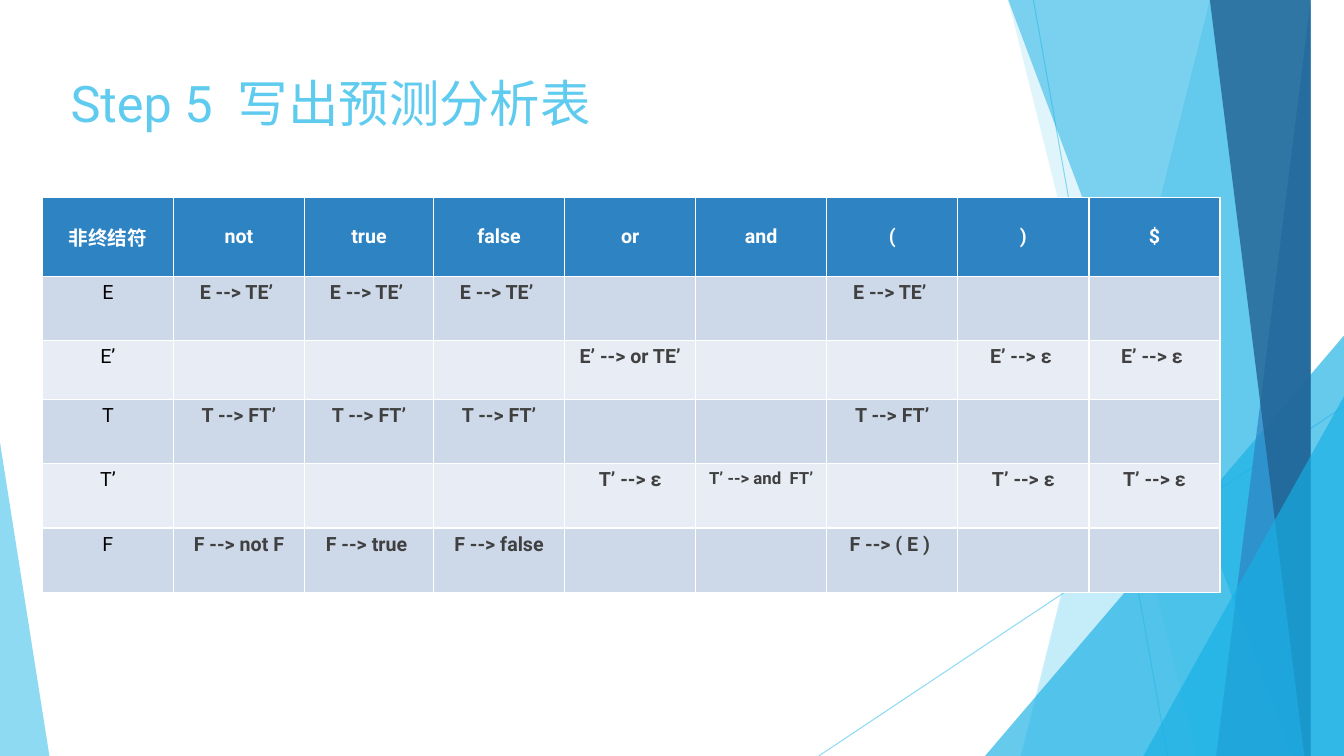
from lxml import etree
from pptx import Presentation
from pptx.dml.color import RGBColor
from pptx.enum import shapes, text
from pptx.oxml.ns import qn
from pptx.util import Inches, Pt

FONT = "Roboto"
SKY, CYAN, BLUE, NAVY = "5FCBEF", "17B0E4", "2E83C3", "226292"
TITLE = "Step 5  写出预测分析表"
HEAD = ["非终结符", "not", "true", "false", "or", "and", "(", ")", "$"]
RULES = [
    ("E", {"not": "E --> TE’ ", "true": "E --> TE’ ", "false": "E --> TE’ ", "(": "E --> TE’ "}),
    ("E’", {"or": "E’ --> or TE’", ")": "E’ --> ε ", "$": "E’ --> ε "}),
    ("T", {"not": "T --> FT’", "true": "T --> FT’", "false": "T --> FT’", "(": "T --> FT’"}),
    ("T’", {"or": "T’ --> ε", "and": "T’ --> and  FT’", ")": "T’ --> ε", "$": "T’ --> ε"}),
    ("F", {"not": "F --> not F", "true": "F --> true ", "false": "F --> false", "(": "F --> ( E ) "}),
]
WIDTHS = [1.3, 1.3, 1.28] + [1.3] * 6
HEIGHTS = [0.78, 0.64, 0.58, 0.64, 0.64, 0.64]
BANDS = ["CDD9E9", "E8EDF5"]
RAYS = [(10.25, 0, 11.58, 7.5), (13.33, 4.03, 8.12, 7.5)]
DECOR = [
    ("band", (12.28, 10.04), SKY, 36),
    ("band", (10.5, 11.83), SKY, 20),
    ("tri", (9.77, 3.33, 3.56, 4.17, 1), CYAN, 66),
    ("band", (10.21, 12.91), CYAN, 50),
    ("band", (13.03, 11.92), BLUE, 70),
    ("band", (11.96, 13.18), NAVY, 80),
    ("tri", (11.34, 3.93, 1.99, 3.57, 1), CYAN, 66),
    ("tri", (0, 4.39, 0.49, 3.11, 0), SKY, 70),
]


def rgb(code):
    return RGBColor.from_string(code)


def fade(shape, share):
    tone = shape._element.spPr.find(".//" + qn("a:srgbClr"))
    etree.SubElement(tone, qn("a:alpha")).set("val", str(share * 1000))


def style(para, size, color, bold, align):
    para.alignment = align
    font = para.font
    font.name, font.size, font.bold = FONT, Pt(size), bold
    font.color.rgb = rgb(color)


def draw_ray(slide, ends):
    ray = slide.shapes.add_connector(shapes.MSO_CONNECTOR.STRAIGHT, *map(Inches, ends))
    ray.line.width = Pt(0.75)
    ray.line.color.rgb = rgb(SKY)
    fade(ray, 70)
    etree.SubElement(ray._element.spPr, qn("a:effectLst"))


def draw_decor(slide, kind, place, color, share):
    if kind == "band":
        top, base = place
        pen = slide.shapes.build_freeform(top, -0.01, Inches(1))
        pen.add_line_segments([(13.33, -0.01), (13.33, 7.5), (base, 7.5)])
        shape = pen.convert_to_shape()
    else:
        *box, tip = place
        shape = slide.shapes.add_shape(shapes.MSO_SHAPE.ISOSCELES_TRIANGLE, *map(Inches, box))
        shape.adjustments[0] = tip
    shape.shadow.inherit = False
    shape.fill.solid()
    shape.fill.fore_color.rgb = rgb(color)
    shape.line.fill.background()
    fade(shape, share)


def draw_title(slide):
    title = slide.shapes.title
    title.left, title.top, title.width, title.height = map(Inches, (0.6, 0.67, 9.4, 1.44))
    frame = title.text_frame
    frame.text = TITLE
    frame.vertical_anchor = text.MSO_ANCHOR.TOP
    style(frame.paragraphs[0], 36, SKY, False, text.PP_ALIGN.LEFT)
    slide.shapes._spTree.append(title._element)


def draw_table(slide):
    rows = [HEAD] + [[name] + [cells.get(key, "") for key in HEAD[1:]] for name, cells in RULES]
    box = map(Inches, (0.42, 1.96, sum(WIDTHS), sum(HEIGHTS)))
    table = slide.shapes.add_table(len(rows), len(HEAD), *box).table
    for col, width in zip(table.columns, WIDTHS):
        col.width = Inches(width)
    for r, row in enumerate(rows):
        table.rows[r].height = Inches(HEIGHTS[r])
        for c, words in enumerate(row):
            cell = table.cell(r, c)
            cell.fill.solid()
            cell.fill.fore_color.rgb = rgb(BANDS[(r - 1) % 2] if r else BLUE)
            cell.vertical_anchor = text.MSO_ANCHOR.TOP if r else text.MSO_ANCHOR.MIDDLE
            cell.text = words
            color = "FFFFFF" if r == 0 else "404040" if c else "000000"
            size = 12 if "and " in words else 14
            style(cell.text_frame.paragraphs[0], size, color, r == 0 or c > 0, text.PP_ALIGN.CENTER)


def main():
    deck = Presentation()
    deck.slide_width, deck.slide_height = Inches(13.33), Inches(7.5)
    slide = deck.slides.add_slide(deck.slide_layouts[5])
    for ends in RAYS:
        draw_ray(slide, ends)
    for item in DECOR:
        draw_decor(slide, *item)
    draw_title(slide)
    draw_table(slide)
    deck.save("out.pptx")


if __name__ == "__main__":
    main()
